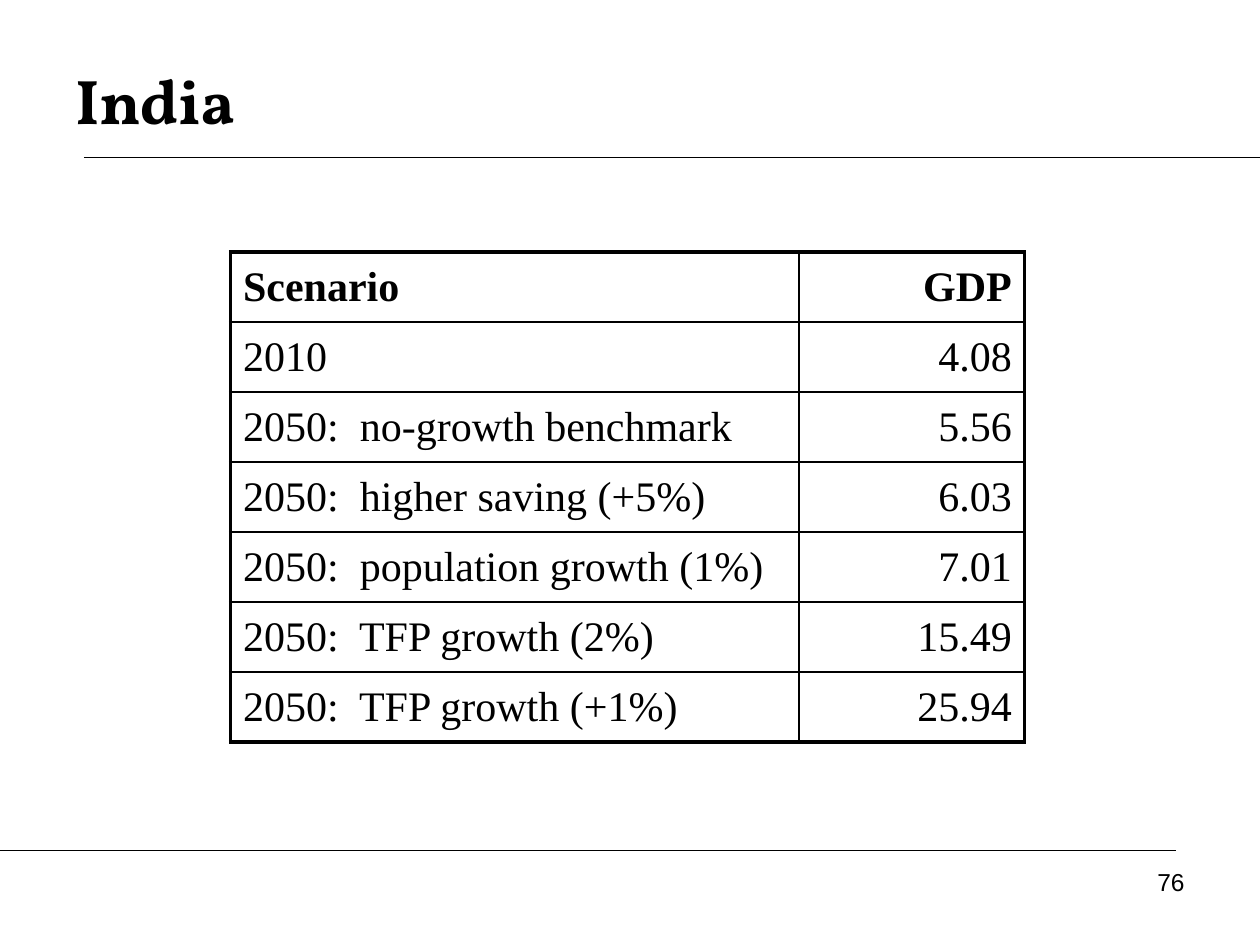
from lxml import etree
from pptx import Presentation
from pptx import util as u
from pptx.dml.color import RGBColor
from pptx.enum import shapes, text
from pptx.oxml.ns import qn

TITLE = "India"
PAGE_NUMBER = "76"
ROWS = [
    ("Scenario", "GDP"),
    ("2010", "4.08"),
    ("2050:  no-growth benchmark", "5.56"),
    ("2050:  higher saving (+5%)", "6.03"),
    ("2050:  population growth (1%)", "7.01"),
    ("2050:  TFP growth (2%)", "15.49"),
    ("2050:  TFP growth (+1%)", "25.94"),
]
ALIGNMENTS = (text.PP_ALIGN.LEFT, text.PP_ALIGN.RIGHT)

BLACK = "000000"
WIDTH, HEIGHT = 10, 7.5
RULE_INSET = WIDTH / 15
TABLE_LEFT, TABLE_TOP = 1.83, 2
COLUMN_WIDTHS = (4.51, 1.79)
ROW_HEIGHT = HEIGHT * 2 / 27
OUTER_BORDER, INNER_BORDER = 2.25, 1


def color(value):
    return RGBColor.from_string(value)


def write(frame, words, font, size, bold=False, align=text.PP_ALIGN.LEFT):
    paragraph = frame.paragraphs[0]
    paragraph.alignment = align
    run = paragraph.add_run()
    run.text = words
    run.font.name = font
    run.font.size = u.Pt(size)
    run.font.bold = bold
    run.font.color.rgb = color(BLACK)


def add_text(slide, box, words, anchor, **style):
    frame = slide.shapes.add_textbox(*map(u.Inches, box)).text_frame
    frame.word_wrap = True
    frame.vertical_anchor = anchor
    write(frame, words, **style)


def add_rule(slide, left, right, y):
    line = slide.shapes.add_connector(
        shapes.MSO_CONNECTOR.STRAIGHT, *map(u.Inches, (left, y, right, y)))
    line.line.color.rgb = color(BLACK)
    line.line.width = u.Pt(0.75)
    etree.SubElement(line._element.spPr, qn("a:effectLst"))


def set_borders(cell, outer_sides):
    """Draw all four borders, heavier on the sides at the table's edge."""
    properties = cell._tc.get_or_add_tcPr()
    for side in "LRTB":
        points = OUTER_BORDER if side in outer_sides else INNER_BORDER
        border = etree.SubElement(properties, qn(f"a:ln{side}"), w=str(u.Pt(points)))
        fill = etree.SubElement(border, qn("a:solidFill"))
        etree.SubElement(fill, qn("a:srgbClr"), val=BLACK)


def add_scenarios(slide):
    row_count, column_count = len(ROWS), len(COLUMN_WIDTHS)
    table = slide.shapes.add_table(
        row_count, column_count, u.Inches(TABLE_LEFT), u.Inches(TABLE_TOP),
        u.Inches(sum(COLUMN_WIDTHS)), u.Inches(ROW_HEIGHT * row_count)).table
    table.horz_banding = False
    table.first_row = False
    for column, width in zip(table.columns, COLUMN_WIDTHS):
        column.width = u.Inches(width)
    for r, values in enumerate(ROWS):
        table.rows[r].height = u.Inches(ROW_HEIGHT)
        for c, value in enumerate(values):
            cell = table.cell(r, c)
            edges = {"L": c == 0, "R": c == column_count - 1,
                     "T": r == 0, "B": r == row_count - 1}
            set_borders(cell, [side for side, outer in edges.items() if outer])
            cell.fill.background()
            cell.vertical_anchor = text.MSO_ANCHOR.MIDDLE
            write(cell.text_frame, value, "Times New Roman", 24,
                  bold=r == 0, align=ALIGNMENTS[c])


def main():
    presentation = Presentation()
    presentation.slide_width = u.Inches(WIDTH)
    presentation.slide_height = u.Inches(HEIGHT)
    slide = presentation.slides.add_slide(presentation.slide_layouts[6])
    add_rule(slide, RULE_INSET, WIDTH, HEIGHT / 6)
    add_rule(slide, 0, WIDTH - RULE_INSET, HEIGHT * 0.9)
    add_text(slide, (0.5, 0.33, 9, 0.92), TITLE, text.MSO_ANCHOR.MIDDLE,
             font="Vollkorn", size=36, bold=True)
    add_text(slide, (7.17, 6.83, 2.33, 0.52), PAGE_NUMBER, text.MSO_ANCHOR.TOP,
             font="Arial", size=14, align=text.PP_ALIGN.RIGHT)
    add_scenarios(slide)
    presentation.save("out.pptx")


if __name__ == "__main__":
    main()
